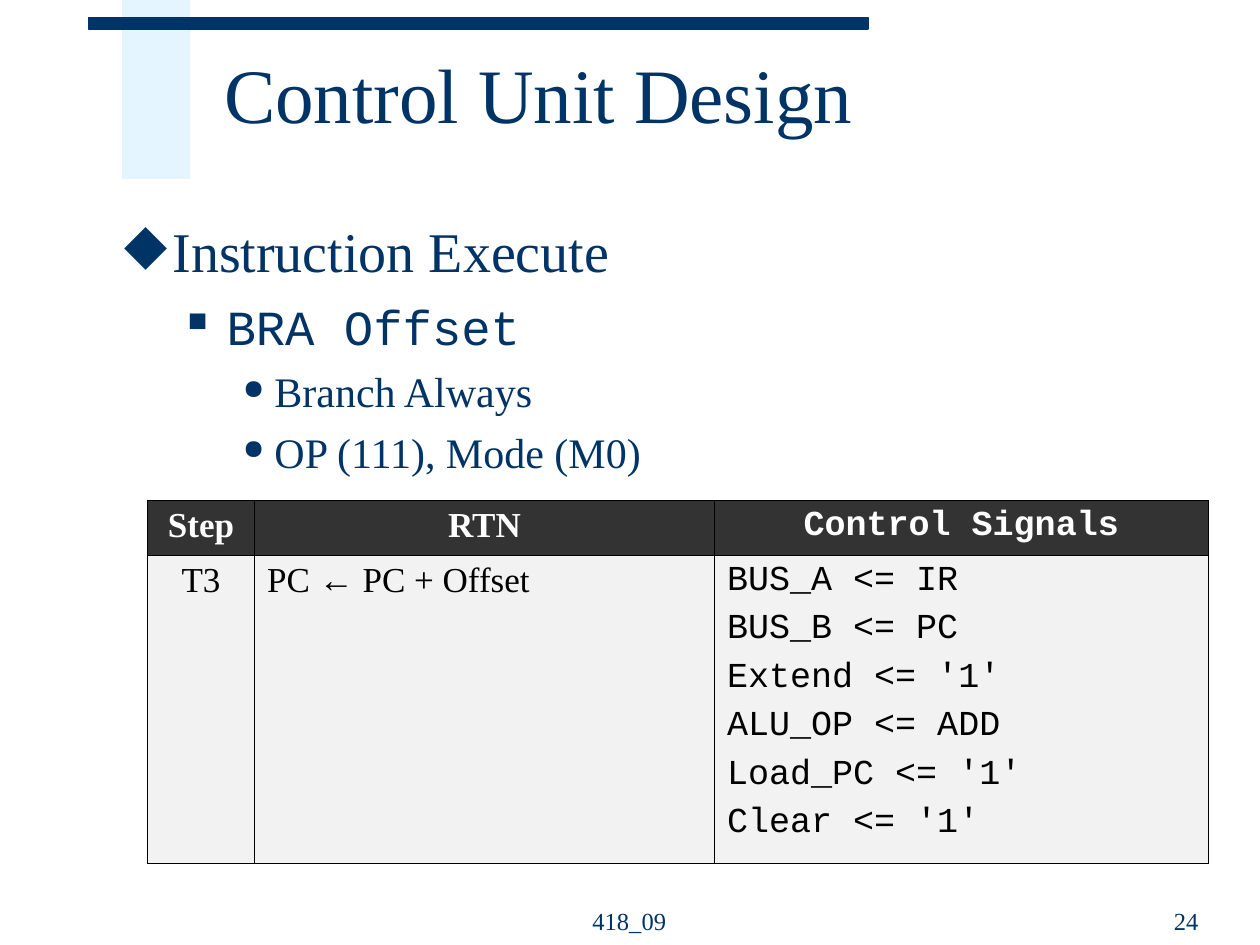
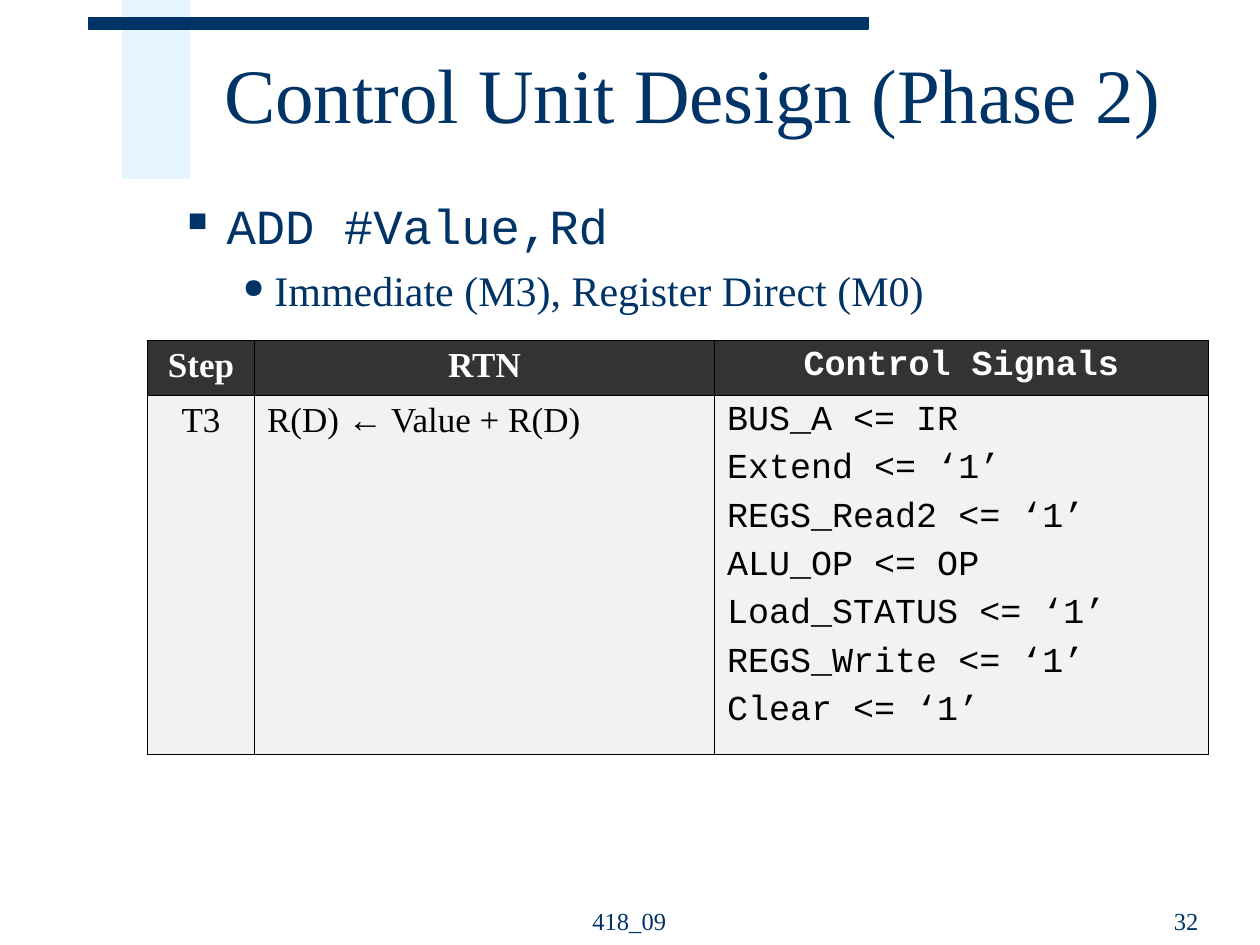
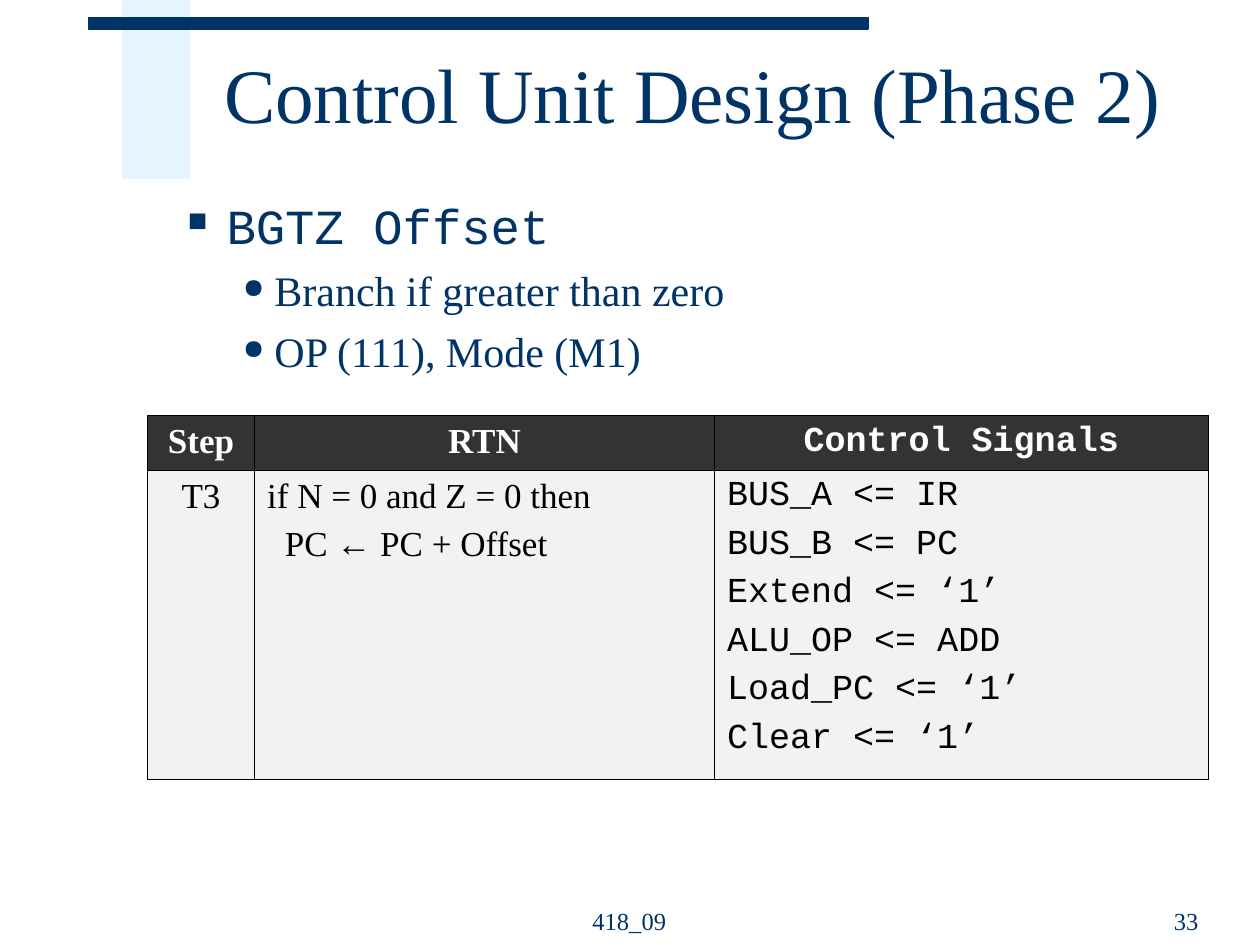
from lxml.etree import SubElement
from pptx import Presentation
from pptx.dml.color import RGBColor
from pptx.enum.shapes import MSO_SHAPE
from pptx.enum.text import MSO_ANCHOR, PP_ALIGN
from pptx.oxml.ns import qn
from pptx.util import Inches, Pt

NAVY = RGBColor(0x00, 0x33, 0x66)
PALE_BLUE = RGBColor(0xCC, 0xEC, 0xFF)
CHARCOAL = RGBColor(0x33, 0x33, 0x33)
LIGHT_GRAY = RGBColor(0xF2, 0xF2, 0xF2)
BLACK = RGBColor(0x00, 0x00, 0x00)
WHITE = RGBColor(0xFF, 0xFF, 0xFF)
SERIF, MONO, ARROW_FONT = "Times New Roman", "Courier New", "Arial"

# Per outline level: font, size, space before, left margin, bullet indent, bullet, bullet percent
LEVELS = [
    (SERIF, 32, 8, 0.38, -0.38, "◆", 100),
    (MONO, 28, 7, 0.81, -0.31, "■", 55),
    (SERIF, 24, 6, 1.19, -0.25, "●", 65),
]
COLUMN_WIDTHS = [0.85, 3.65, 3.92]
COLUMN_FONTS = [SERIF, SERIF, MONO]
COLUMN_ALIGNMENTS = [PP_ALIGN.CENTER, PP_ALIGN.LEFT, PP_ALIGN.LEFT]
HEADERS = ["Step", "RTN", "Control Signals"]
HEADER_HEIGHT = 0.43
THEN_INDENT = 0.14

SLIDES = [
    {
        "title": "Control Unit Design",
        "number": "24",
        "outline_top": 1.67,
        "outline": [(0, "Instruction Execute"), (1, "BRA Offset"),
                    (2, "Branch Always"), (2, "OP (111), Mode (M0)")],
        "table_top": 3.97,
        "step_height": 2.45,
        "transfer": ["PC ← PC + Offset"],
        "signals": ["BUS_A <= IR", "BUS_B <= PC", "Extend <= '1'", "ALU_OP <= ADD",
                    "Load_PC <= '1'", "Clear <= '1'"],
    },
    {
        "title": "Control Unit Design (Phase 2)",
        "number": "32",
        "outline_top": 1.5,
        "outline": [(1, "ADD #Value,Rd"), (2, "Immediate (M3), Register Direct (M0)")],
        "table_top": 2.7,
        "step_height": 2.85,
        "transfer": ["R(D) ← Value + R(D)"],
        "signals": ["BUS_A <= IR", "Extend <= ‘1’", "REGS_Read2 <= ‘1’", "ALU_OP <= OP",
                    "Load_STATUS <= ‘1’", "REGS_Write <= ‘1’", "Clear <= ‘1’"],
    },
    {
        "title": "Control Unit Design (Phase 2)",
        "number": "33",
        "outline_top": 1.5,
        "outline": [(1, "BGTZ Offset"), (2, "Branch if greater than zero"),
                    (2, "OP (111), Mode (M1)")],
        "table_top": 3.3,
        "step_height": 2.45,
        "transfer": ["if N = 0 and Z = 0 then", "PC ← PC + Offset"],
        "signals": ["BUS_A <= IR", "BUS_B <= PC", "Extend <= ‘1’", "ALU_OP <= ADD",
                    "Load_PC <= ‘1’", "Clear <= ‘1’"],
    },
]


def add_text_frame(slide, left, top, width, height, anchor):
    box = slide.shapes.add_textbox(Inches(left), Inches(top), Inches(width), Inches(height))
    box.text_frame.word_wrap = True
    box.text_frame.vertical_anchor = anchor
    return box.text_frame


def write(paragraph, text, font, size, color, bold=False, **formats):
    """Fill a paragraph, giving a left arrow its own font; formats go to the paragraph."""
    for name, value in formats.items():
        setattr(paragraph, name, value)
    for part in filter(None, text.partition("←")):
        run = paragraph.add_run()
        run.text = part
        run.font.color.rgb = color
        run_formats = {"name": ARROW_FONT if part == "←" else font, "size": Pt(size), "bold": bold}
        for name, value in run_formats.items():
            setattr(run.font, name, value)


presentation = Presentation()
presentation.slide_width = Inches(10)
presentation.slide_height = Inches(7.5)

for content in SLIDES:
    slide = presentation.slides.add_slide(presentation.slide_layouts[6])

    # Bands behind the title
    for color, *place in [(PALE_BLUE, 0.97, 0, 0.54, 1.42), (NAVY, 0.7, 0.14, 6.19, 0.09)]:
        band = slide.shapes.add_shape(MSO_SHAPE.RECTANGLE, *map(Inches, place))
        band.shadow.inherit = False
        band.fill.solid()
        band.fill.fore_color.rgb = color
        if color == NAVY:
            band.line.color.rgb = NAVY
            band.line.width = Pt(0.75)
        else:
            band.line.fill.background()
            color_element = band.fill._xPr.find(".//" + qn("a:srgbClr"))
            SubElement(color_element, qn("a:alpha"), val="50000")

    # Title
    title = add_text_frame(slide, 1.68, 0.17, 8.07, 1.25, MSO_ANCHOR.MIDDLE)
    write(title.paragraphs[0], content["title"], SERIF, 44, NAVY, line_spacing=0.85)

    # Bulleted outline
    outline = add_text_frame(slide, 0.89, content["outline_top"], 8.7, 5, MSO_ANCHOR.TOP)
    for index, (level, text) in enumerate(content["outline"]):
        font, size, space, margin, indent, bullet, percent = LEVELS[level]
        paragraph = outline.add_paragraph() if index else outline.paragraphs[0]
        write(paragraph, text, font, size, NAVY, level=level, space_before=Pt(space))
        properties = paragraph._p.get_or_add_pPr()
        properties.set("marL", str(Inches(margin)))
        properties.set("indent", str(Inches(indent)))
        bullet_color = SubElement(properties, qn("a:buClr"))
        SubElement(bullet_color, qn("a:srgbClr"), val=str(NAVY))
        SubElement(properties, qn("a:buSzPct"), val=str(percent * 1000))
        SubElement(properties, qn("a:buChar"), char=bullet)

    # Footer and slide number
    for text, left, width, alignment in [("418_09", 4.08, 1.83, PP_ALIGN.CENTER),
                                         (content["number"], 7.21, 2.4, PP_ALIGN.RIGHT)]:
        footer = add_text_frame(slide, left, 6.97, width, 0.5, MSO_ANCHOR.BOTTOM)
        write(footer.paragraphs[0], text, SERIF, 14, NAVY, alignment=alignment)

    # Table of register transfers and control signals
    row_heights = [HEADER_HEIGHT, content["step_height"]]
    table = slide.shapes.add_table(
        2, 3, Inches(1.17), Inches(content["table_top"]),
        Inches(sum(COLUMN_WIDTHS)), Inches(sum(row_heights))).table
    for column, width in zip(table.columns, COLUMN_WIDTHS):
        column.width = Inches(width)
    for row, height in zip(table.rows, row_heights):
        row.height = Inches(height)

    rows = [[[header] for header in HEADERS],
            [["T3"], content["transfer"], content["signals"]]]
    for row_index, row_texts in enumerate(rows):
        is_header = row_index == 0
        for column_index, lines in enumerate(row_texts):
            cell = table.cell(row_index, column_index)
            cell_properties = cell._tc.get_or_add_tcPr()
            for side in ("lnL", "lnR", "lnT", "lnB"):
                border = SubElement(cell_properties, qn(f"a:{side}"), w=str(Pt(0.45)))
                border_fill = SubElement(border, qn("a:solidFill"))
                SubElement(border_fill, qn("a:srgbClr"), val=str(BLACK))
            cell.fill.solid()
            cell.fill.fore_color.rgb = CHARCOAL if is_header else LIGHT_GRAY

            for index, line in enumerate(lines):
                paragraph = cell.text_frame.add_paragraph() if index else cell.text_frame.paragraphs[0]
                write(paragraph, line, COLUMN_FONTS[column_index], 20,
                      WHITE if is_header else BLACK, bold=is_header, space_before=Pt(5),
                      alignment=PP_ALIGN.CENTER if is_header else COLUMN_ALIGNMENTS[column_index])
                if column_index == 1 and index:
                    paragraph._p.get_or_add_pPr().set("marL", str(Inches(THEN_INDENT)))

presentation.save("out.pptx")
